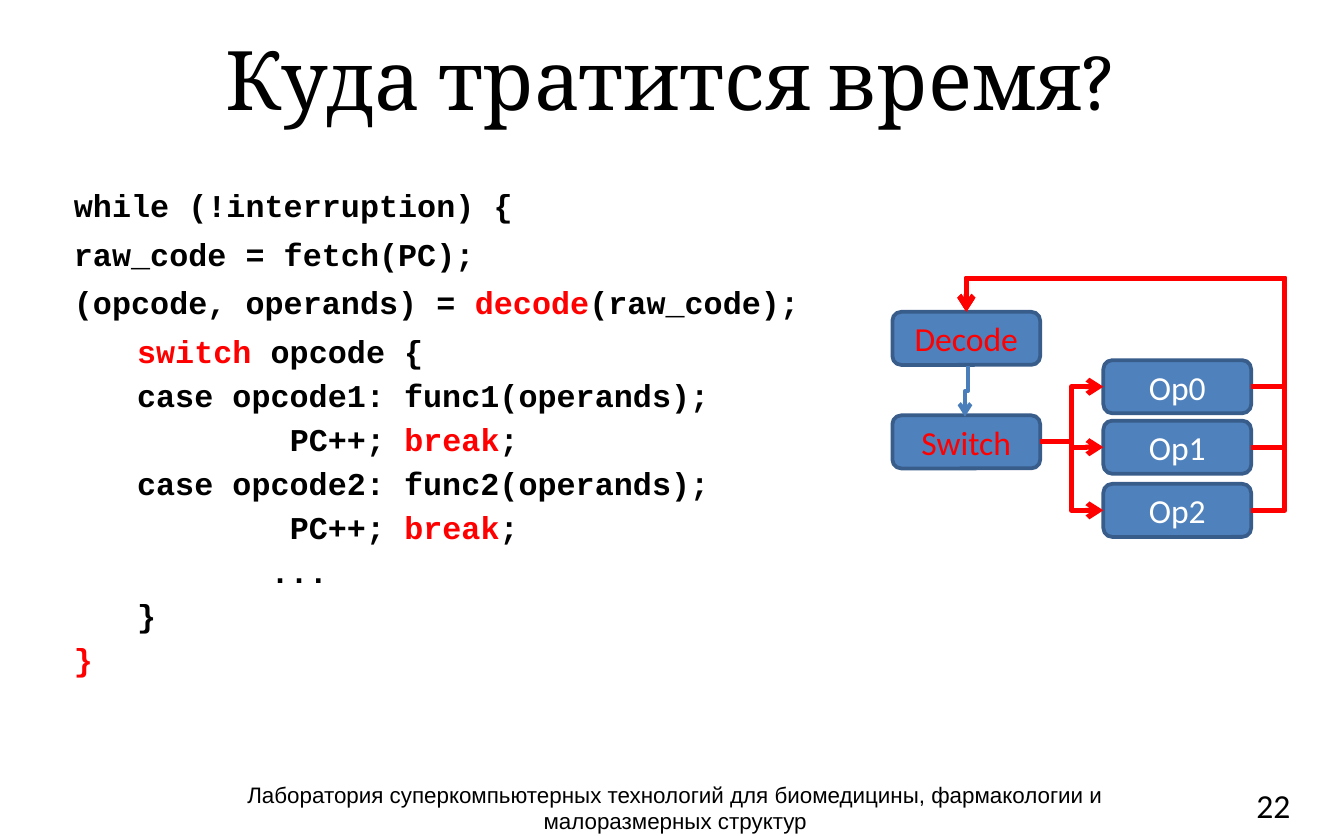
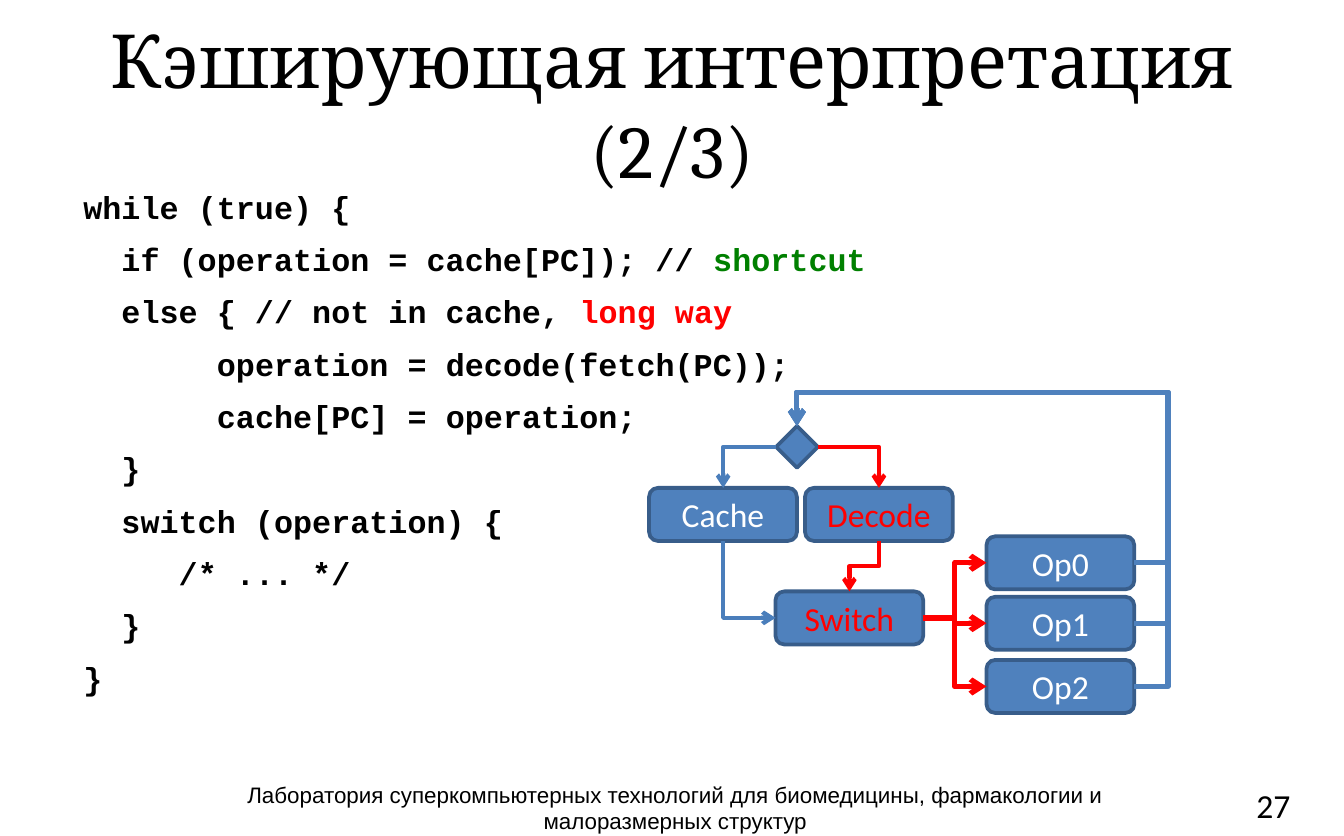
from dataclasses import dataclass
from math import cos, radians, sin

from lxml.etree import SubElement
from pptx import Presentation
from pptx.dml.color import RGBColor
from pptx.enum.shapes import MSO_CONNECTOR as Connector, MSO_SHAPE as Shape
from pptx.enum.text import MSO_ANCHOR as Anchor, MSO_AUTO_SIZE as AutoSize, PP_ALIGN as Align
from pptx.oxml.ns import qn
from pptx.util import Inches, Pt

# Palette
BLACK = RGBColor(0x00, 0x00, 0x00)
WHITE = RGBColor(0xFF, 0xFF, 0xFF)
RED = RGBColor(0xFF, 0x00, 0x00)
GREEN = RGBColor(0x00, 0x80, 0x00)
BLUE = RGBColor(0x4F, 0x81, 0xBD)
LINK_BLUE = RGBColor(0x4A, 0x7E, 0xBB)
BORDER = RGBColor(0x38, 0x5D, 0x8A)

# Grid: 100 columns by 62.2 rows of square cells
COLUMNS, ROWS = 100, 62.2
BOX_SIZE = (11, 3.95)
OP_COLUMN = 15.7
OP_ROWS = (-4.1, 0.4, 5.1)
LOOP_GAP = 2.5

# Code layout in cells; one monospaced character is 1.42 cells wide
CODE_LEFT, NESTED_LEFT, CHAR = 1.2, 5.9, 1.42

LAB = "Лаборатория суперкомпьютерных технологий для биомедицины, фармакологии и малоразмерных структур"


def cells(count):
    return Inches(count / 10)


def write(paragraph, text, font="Calibri", size=18, color=BLACK, bold=False, align=None):
    run = paragraph.add_run()
    run.text = text
    run.font.name = font
    run.font.size = Pt(size)
    run.font.bold = bold
    run.font.color.rgb = color
    if align is not None:
        paragraph.alignment = align


@dataclass(frozen=True)
class Node:
    """Place of a flowchart block, with the points where links attach."""
    x: float
    y: float
    width: float
    height: float

    @property
    def top(self):
        return self.x + self.width / 2, self.y

    @property
    def bottom(self):
        return self.x + self.width / 2, self.y + self.height

    @property
    def left(self):
        return self.x, self.y + self.height / 2

    @property
    def right(self):
        return self.x + self.width, self.y + self.height / 2


class Deck:
    def __init__(self):
        self.presentation = Presentation()
        self.presentation.slide_width = cells(COLUMNS)
        self.presentation.slide_height = cells(ROWS)
        self.slide = None

    def place(self, item, x, y, width, height):
        item.left, item.top, item.width, item.height = map(cells, (x, y, width, height))

    def start(self, heading, number, size, height):
        self.slide = self.presentation.slides.add_slide(self.presentation.slide_layouts[1])
        title = self.slide.shapes.title
        self.place(title, 5, 2.5, 90, height)
        frame = title.text_frame
        frame.auto_size = AutoSize.NONE
        frame.vertical_anchor = Anchor.MIDDLE
        write(frame.paragraphs[0], heading, font="Cambria", size=size, align=Align.CENTER)
        self.label(LAB, 11.4, 57.6, 77.7, font="Arial", size=12, align=Align.CENTER)
        self.label(number, 92.5, 57.9, 5.6)

    def label(self, text, x, y, width, **style):
        frame = self.slide.shapes.add_textbox(*map(cells, (x, y, width, 3.3))).text_frame
        frame.word_wrap = True
        write(frame.paragraphs[0], text, **style)

    def code(self, lines, area, spacing):
        """Each line is (level, characters of indent, *spans); a span is text or (text, colour)."""
        body = self.slide.placeholders[1]
        self.place(body, *area)
        body.fill.solid()
        body.fill.fore_color.rgb = WHITE
        frame = body.text_frame
        frame.auto_size = AutoSize.NONE
        frame.margin_left = frame.margin_right = frame.margin_top = frame.margin_bottom = 0
        for index, (level, indent, *spans) in enumerate(lines):
            paragraph = frame.add_paragraph() if index else frame.paragraphs[0]
            paragraph.level = level
            paragraph.line_spacing = spacing
            paragraph.space_before = Pt(0)
            paragraph.space_after = Pt(9.3 if level else 11.7)
            left = (NESTED_LEFT if level else CODE_LEFT) + indent * CHAR
            properties = paragraph._p.get_or_add_pPr()
            properties.set("marL", str(cells(left)))
            properties.set("indent", "0")
            SubElement(properties, qn("a:buNone"))
            for span in spans:
                text, color = (span, BLACK) if isinstance(span, str) else span
                write(paragraph, text, font="Courier New", size=17, color=color, bold=True)

    def block(self, x, y, text="", color=WHITE, kind=Shape.ROUNDED_RECTANGLE, size=BOX_SIZE):
        node = Node(x, y, *size)
        shape = self.slide.shapes.add_shape(kind, *map(cells, (x, y, *size)))
        shape.shadow.inherit = False
        shape.fill.solid()
        shape.fill.fore_color.rgb = BLUE
        shape.line.color.rgb = BORDER
        shape.line.width = Pt(2)
        if text:
            shape.text_frame.vertical_anchor = Anchor.MIDDLE
            write(shape.text_frame.paragraphs[0], text, color=color, align=Align.CENTER)
        return node

    def link(self, start, end, color, weight=2.25, bends=3, turn=0, adjust=()):
        """Elbow arrow; turn rotates its frame so that it can leave vertically."""
        (x1, y1), (x2, y2) = start, end
        middle_x, middle_y = (x1 + x2) / 2, (y1 + y2) / 2
        cosine, sine = cos(radians(turn)), sin(radians(turn))
        half_x = ((x2 - x1) * cosine + (y2 - y1) * sine) / 2
        half_y = ((y2 - y1) * cosine - (x2 - x1) * sine) / 2
        arrow = self.slide.shapes.add_connector(
            Connector.ELBOW,
            cells(middle_x - half_x), cells(middle_y - half_y),
            cells(middle_x + half_x), cells(middle_y + half_y))
        arrow.line.color.rgb = color
        arrow.line.width = Pt(weight)
        properties = arrow._element.spPr
        if turn:
            properties.find(qn("a:xfrm")).set("rot", str(turn * 60000))
        geometry = properties.find(qn("a:prstGeom"))
        geometry.set("prst", f"bentConnector{bends}")
        for index, share in enumerate(adjust, 1):
            SubElement(geometry.find(qn("a:avLst")), qn("a:gd"),
                       name=f"adj{index}", fmla=f"val {round(share * 100000)}")
        SubElement(properties.find(qn("a:ln")), qn("a:tailEnd"), type="arrow")
        SubElement(properties, qn("a:effectLst"))

    def dispatch(self, x, y, target, loop_color):
        """Switch block, its operations, and the way back to the target point."""
        switch = self.block(x, y, "Switch", RED)
        operations = [self.block(x + OP_COLUMN, y + row, f"Op{index}")
                      for index, row in enumerate(OP_ROWS)]
        for operation in operations:
            self.link(switch.right, operation.left, RED, 2.75)
        for operation in operations:
            out_x, out_y = operation.right
            adjust = (-LOOP_GAP / (out_x - target[0]), 1 + LOOP_GAP / (out_y - target[1]))
            self.link(operation.right, target, loop_color, 2.75, bends=4, adjust=adjust)
        return switch


def time_slide(deck):
    deck.start("Куда тратится время?", "22", size=44, height=6.6)
    deck.code([
        (0, 0, "while (!interruption) {"),
        (0, 0, "raw_code = fetch(PC);"),
        (0, 0, "(opcode, operands) = ", ("decode", RED), "(raw_code);"),
        (1, 0, ("switch", RED), " opcode {"),
        (1, 0, "case opcode1: func1(operands);"),
        (1, 8, "PC++; ", ("break", RED), ";"),
        (1, 0, "case opcode2: func2(operands);"),
        (1, 8, "PC++; ", ("break", RED), ";"),
        (1, 7, "..."),
        (1, 0, "}"),
        (0, 0, ("}", RED)),
    ], area=(4.3, 14.6, 59.5, 42.1), spacing=0.7)

    # Interpreter loop
    decode = deck.block(66.4, 23.2, "Decode", RED)
    deck.dispatch(66.4, 30.9, decode.top, RED)
    deck.link((72, 27.2), (71.8, 31), LINK_BLUE, turn=90)


def caching_slide(deck):
    deck.start("Кэширующая интерпретация (2/3)", "27", size=40, height=10.4)
    deck.code([
        (0, 0, "while (true) {"),
        (0, 2, "if (operation = cache[PC]); // ", ("shortcut", GREEN)),
        (0, 2, "else { // not in cache, ", ("long way", RED)),
        (0, 7, "operation = decode(fetch(PC));"),
        (0, 7, "cache[PC] = operation;"),
        (0, 2, "}"),
        (0, 2, "switch (operation) {"),
        (0, 5, "/* ... */"),
        (0, 2, "}"),
        (0, 0, "}"),
    ], area=(5, 14.5, 90, 41.1), spacing=0.8)

    # Interpreter loop with the cache check
    check = deck.block(57.75, 31.7, kind=Shape.DIAMOND, size=(3.1, 3.1))
    cache = deck.block(48.3, 36.3, "Cache")
    decode = deck.block(59.9, 36.3, "Decode", RED)
    switch = deck.dispatch(57.7, 44, check.top, BLUE)
    deck.link(decode.bottom, switch.top, RED, turn=90)
    deck.link(check.right, decode.top, RED, bends=2)
    deck.link(check.left, cache.top, LINK_BLUE, bends=2, turn=180)
    deck.link(cache.bottom, switch.left, LINK_BLUE, bends=2, turn=270)


def main():
    deck = Deck()
    time_slide(deck)
    caching_slide(deck)
    deck.presentation.save("out.pptx")


if __name__ == "__main__":
    main()
